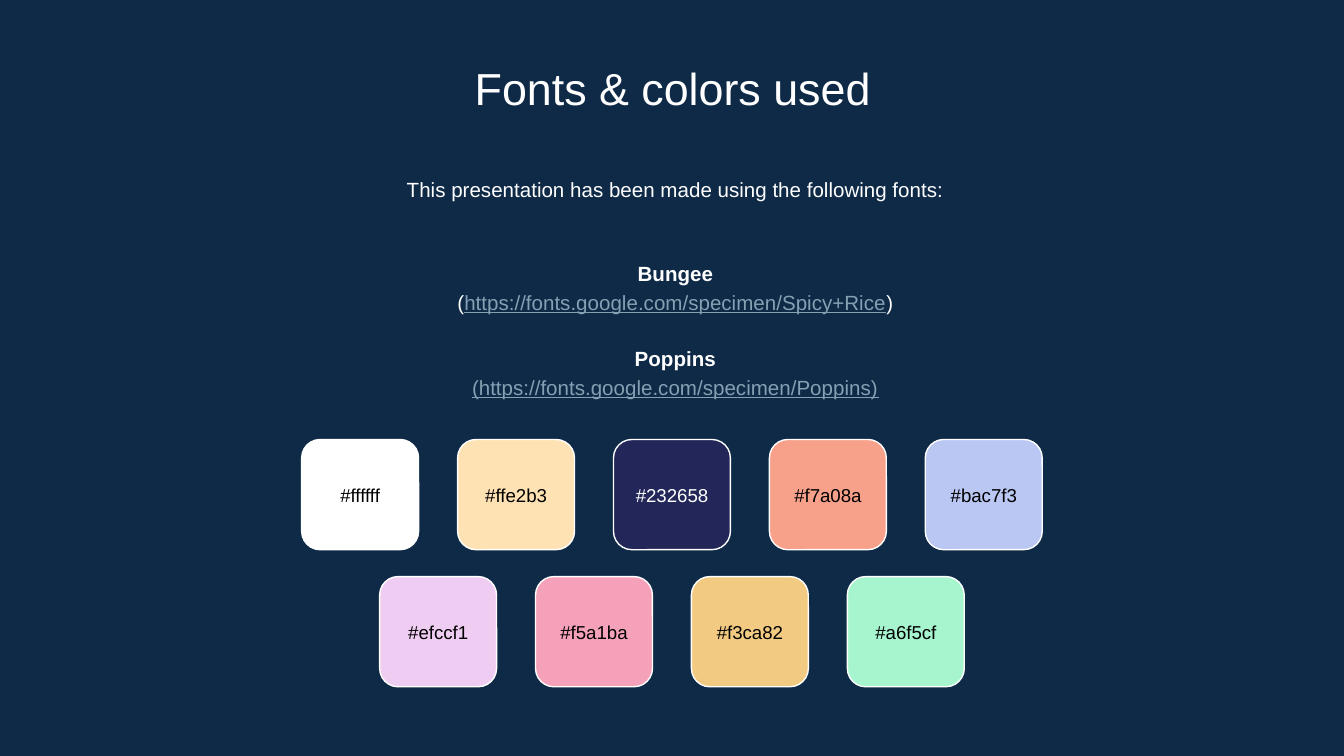
import pptx
import pptx.util
import pptx.dml.color
import pptx.enum.shapes
import pptx.enum.text

Pt = pptx.util.Pt
Inches = pptx.util.Inches
RGB = pptx.dml.color.RGBColor.from_string
ALIGN = pptx.enum.text.PP_ALIGN
ANCHOR = pptx.enum.text.MSO_ANCHOR

# Content: a paragraph is a list of (text, style) runs
TITLE = [[("Fonts & colors used", "title")]]
INTRO = [[("This presentation has been made using the following fonts:", "body")]]
FONT_LIST = [
    [("Bungee", "strong")],
    [("(", "body"), ("https://fonts.google.com/specimen/Spicy+Rice", "link"), (")", "body")],
    [("Poppins", "strong")],
    [("(https://fonts.google.com/specimen/Poppins)", "link")],
]
PALETTE = [
    ["#ffffff", "#ffe2b3", "#232658", "#f7a08a", "#bac7f3"],
    ["#efccf1", "#f5a1ba", "#f3ca82", "#a6f5cf"],
]
DARK_SWATCHES = {"#232658"}

THEME = {
    "background": "0E2A47",
    "outline": "FFFFFF",
    "font": "Arial",
    "styles": {
        "title": {"size": 24, "color": "FFFFFF"},
        "body": {"size": 11, "color": "FFFFFF"},
        "strong": {"size": 11, "color": "FFFFFF", "bold": True},
        "link": {"size": 11, "color": "869FB2", "underline": True},
        "on_light": {"size": 10, "color": "000000"},
        "on_dark": {"size": 10, "color": "FFFFFF"},
    },
}

# Layout in inches, on a 16:9 slide
SLIDE_W = 10
SLIDE_H = SLIDE_W * 9 / 16
SWATCH_W, SWATCH_H, LABEL_H = 0.87, 0.82, 0.48
COLUMN_STEP, ROW_STEP = 1.16, 1.02
PALETTE_TOP = 3.27


def write(frame, paragraphs, anchor=ANCHOR.TOP, spacing=None, gaps=()):
    """Fill a frame with centred paragraphs; gaps are indexes set apart by a line."""
    settings = {"word_wrap": True, "vertical_anchor": anchor}
    for side in ("left", "right", "top", "bottom"):
        settings[f"margin_{side}"] = Inches(0.1)
    for name, value in settings.items():
        setattr(frame, name, value)
    for index, runs in enumerate(paragraphs):
        paragraph = frame.add_paragraph() if index else frame.paragraphs[0]
        paragraph.alignment = ALIGN.CENTER
        if spacing:
            paragraph.line_spacing = spacing
        if index in gaps:
            paragraph.space_before = Pt(15.2)
        for text, style in runs:
            run = paragraph.add_run()
            run.text = text
            look = THEME["styles"][style]
            font_values = {
                "name": THEME["font"],
                "size": Pt(look["size"]),
                "bold": look.get("bold", False),
                "underline": look.get("underline", False),
            }
            for name, value in font_values.items():
                setattr(run.font, name, value)
            run.font.color.rgb = RGB(look["color"])


def add_text(slide, box, paragraphs, **options):
    text_box = slide.shapes.add_textbox(*map(Inches, box))
    write(text_box.text_frame, paragraphs, **options)


def add_swatch(slide, left, top, code):
    swatch = slide.shapes.add_shape(
        pptx.enum.shapes.MSO_SHAPE.ROUNDED_RECTANGLE,
        *map(Inches, (left, top, SWATCH_W, SWATCH_H)))
    swatch.shadow.inherit = False
    swatch.fill.solid()
    swatch.fill.fore_color.rgb = RGB(code[1:].upper())
    swatch.line.color.rgb = RGB(THEME["outline"])
    swatch.line.width = Pt(0.75)

    # Label centred on the swatch
    style = "on_dark" if code in DARK_SWATCHES else "on_light"
    label_top = top + (SWATCH_H - LABEL_H) / 2
    add_text(slide, (left, label_top, SWATCH_W, LABEL_H), [[(code, style)]],
             anchor=ANCHOR.MIDDLE)


def main():
    deck = pptx.Presentation()
    deck.slide_width, deck.slide_height = Inches(SLIDE_W), Inches(SLIDE_H)
    slide = deck.slides.add_slide(deck.slide_layouts[6])
    slide.background.fill.solid()
    slide.background.fill.fore_color.rgb = RGB(THEME["background"])

    # Title and font list
    add_text(slide, (1.15, 0.35, 7.71, 0.53), TITLE)
    add_text(slide, (1.17, 1.19, 7.71, 0.48), INTRO, spacing=1.15)
    add_text(slide, (1.17, 1.76, 7.71, 1.37), FONT_LIST,
             anchor=ANCHOR.MIDDLE, spacing=1.15, gaps={2})

    # Palette: each row of swatches is centred on the slide
    for row, codes in enumerate(PALETTE):
        row_width = (len(codes) - 1) * COLUMN_STEP + SWATCH_W
        row_left = (SLIDE_W - row_width) / 2
        for column, code in enumerate(codes):
            add_swatch(slide, row_left + column * COLUMN_STEP,
                       PALETTE_TOP + row * ROW_STEP, code)

    deck.save("out.pptx")


if __name__ == "__main__":
    main()
